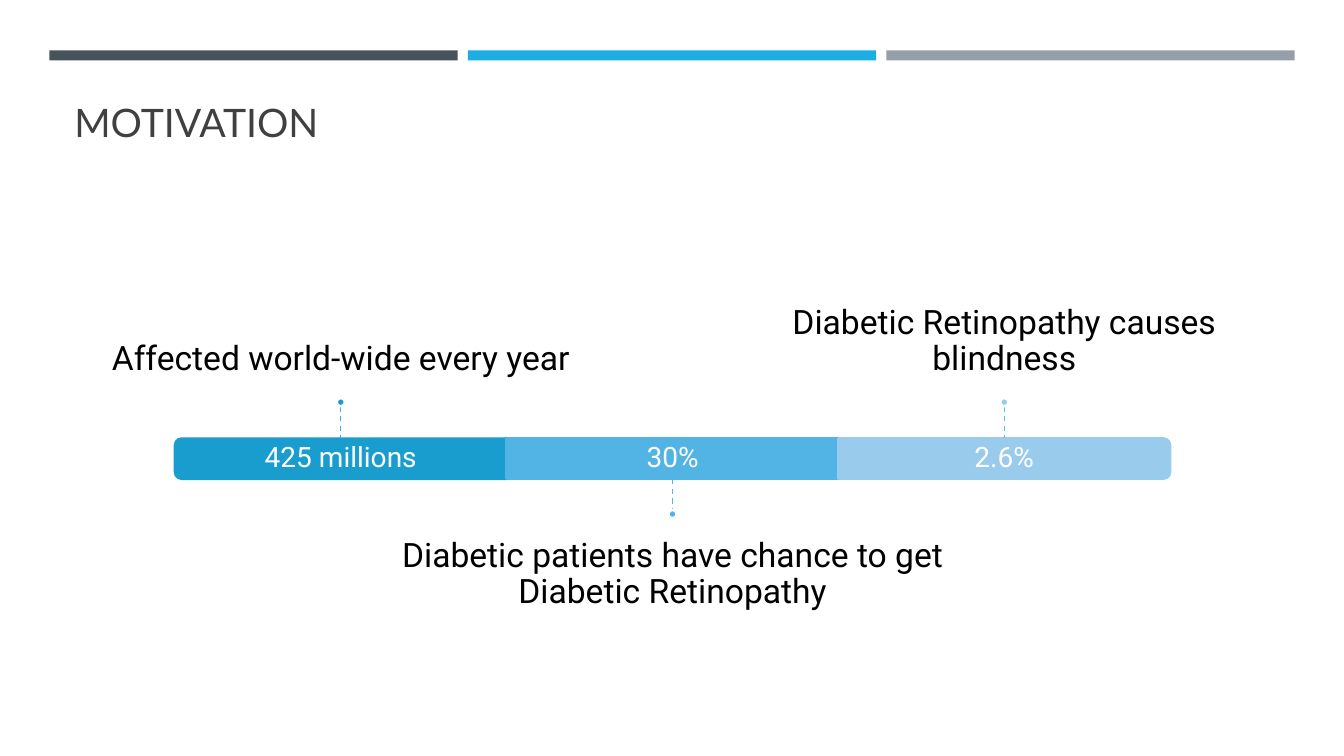
"""Build the motivation slide: three facts along a segmented bar."""
from lxml import etree
from pptx import Presentation
from pptx.dml import color as dml
from pptx.enum import dml as lines, shapes, text
from pptx.oxml import ns
from pptx.util import Inches, Pt


def rgb(value):
    return dml.RGBColor.from_string(value)


class FactSlide:
    title_font = "Lato"
    body_font = "Roboto"

    def __init__(self, slide):
        self.shapes = slide.shapes

    def block(self, kind, left, top, width, height, fill, outline=None, rotation=0):
        block = self.shapes.add_shape(
            kind, Inches(left), Inches(top), Inches(width), Inches(height))
        block.shadow.inherit = False
        block.rotation = rotation
        block.fill.solid()
        block.fill.fore_color.rgb = rgb(fill)
        if outline:
            block.line.color.rgb = rgb(outline)
            block.line.width = Pt(1.75)
        else:
            block.line.fill.background()

    def words(self, wording, left, top, width, height, size, color, anchor,
              insets=(0, 0, 0, 0), font=body_font, centred=True):
        box = self.shapes.add_textbox(
            Inches(left), Inches(top), Inches(width), Inches(height))
        frame = box.text_frame
        frame.word_wrap = True
        frame.vertical_anchor = anchor
        (frame.margin_left, frame.margin_top,
         frame.margin_right, frame.margin_bottom) = map(Inches, insets)
        paragraph = frame.paragraphs[0]
        paragraph.text = wording
        paragraph.line_spacing = 0.9
        paragraph.alignment = text.PP_ALIGN.CENTER if centred else text.PP_ALIGN.LEFT
        paragraph.font.name = font
        paragraph.font.size = Pt(size)
        paragraph.font.color.rgb = rgb(color)

    def dashed_stem(self, x, top, bottom, color):
        stem = self.shapes.add_connector(
            shapes.MSO_CONNECTOR.STRAIGHT,
            Inches(x), Inches(top), Inches(x), Inches(bottom))
        stem.line.color.rgb = rgb(color)
        stem.line.width = Pt(1)
        stem.line.dash_style = lines.MSO_LINE.DASH
        etree.SubElement(stem._element.spPr, ns.qn("a:effectLst"))

    def fact(self, center, figure, caption, fill, stem_color, rotation, above):
        bar_top, bar_width, bar_height = 4.35, 3.29, 0.4
        caption_width, caption_height, dot = 5.48, 1.39, 0.08
        bar_middle = bar_top + bar_height / 2
        if rotation:
            self.block(shapes.MSO_SHAPE.ROUND_2_SAME_RECTANGLE,
                       center - bar_height / 2, bar_middle - bar_width / 2,
                       bar_height, bar_width, fill, fill, rotation)
        else:
            self.block(shapes.MSO_SHAPE.RECTANGLE, center - bar_width / 2, bar_top,
                       bar_width, bar_height, fill, fill)
        self.words(figure, center - bar_width / 2, bar_top, bar_width, bar_height,
                   20, "FFFFFF", text.MSO_ANCHOR.MIDDLE)
        if above:
            caption_top, stem_top, dot_top = 2.56, 4.03, 3.95
            anchor, insets = text.MSO_ANCHOR.BOTTOM, (0, 0, 0, 0.2)
        else:
            caption_top, stem_top, dot_top = 5.14, 4.75, 5.06
            anchor, insets = text.MSO_ANCHOR.TOP, (0, 0.2, 0, 0)
        self.words(caption, center - caption_width / 2, caption_top,
                   caption_width, caption_height, 24, "000000", anchor, insets)
        self.dashed_stem(center, stem_top, stem_top + 0.32, stem_color)
        self.block(shapes.MSO_SHAPE.OVAL, center - dot / 2, dot_top, dot, dot,
                   fill, "FFFFFF")


def main():
    deck = Presentation()
    deck.slide_width, deck.slide_height = Inches(13.33), Inches(7.5)
    motivation = FactSlide(deck.slides.add_slide(deck.slide_layouts[6]))

    for column, stripe in enumerate(("465359", "1CADE4", "969FA7")):
        motivation.block(shapes.MSO_SHAPE.RECTANGLE,
                         0.49 + 4.15 * column, 0.5, 4.05, 0.1, stripe)
    motivation.words("MOTIVATION", 0.64, 0.77, 12.06, 0.73, 28, "404040",
                     text.MSO_ANCHOR.BOTTOM, (0.1, 0.05, 0.1, 0.05),
                     FactSlide.title_font, centred=False)

    facts = (
        ("425 millions", "Affected world-wide every year",
         "199DCF", "36B3E9", 270, True),
        ("30%", "Diabetic patients have chance to get Diabetic Retinopathy",
         "52B3E5", "57B5E6", 0, False),
        ("2.6%", "Diabetic Retinopathy causes blindness",
         "99CBEC", "5ABEEF", 90, True),
    )
    for position, details in enumerate(facts):
        motivation.fact(3.38 + 3.29 * position, *details)

    deck.save("out.pptx")


if __name__ == "__main__":
    main()
